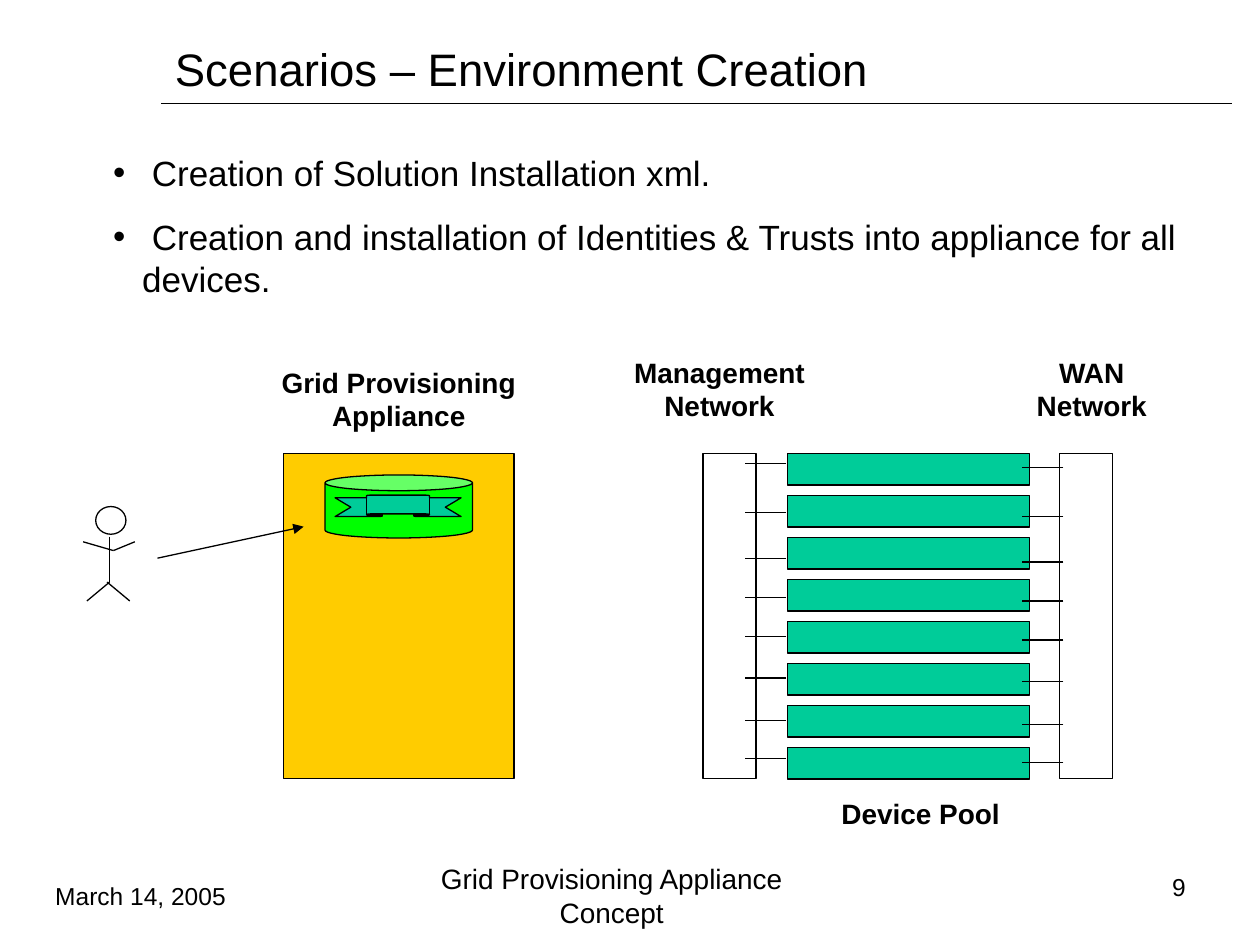
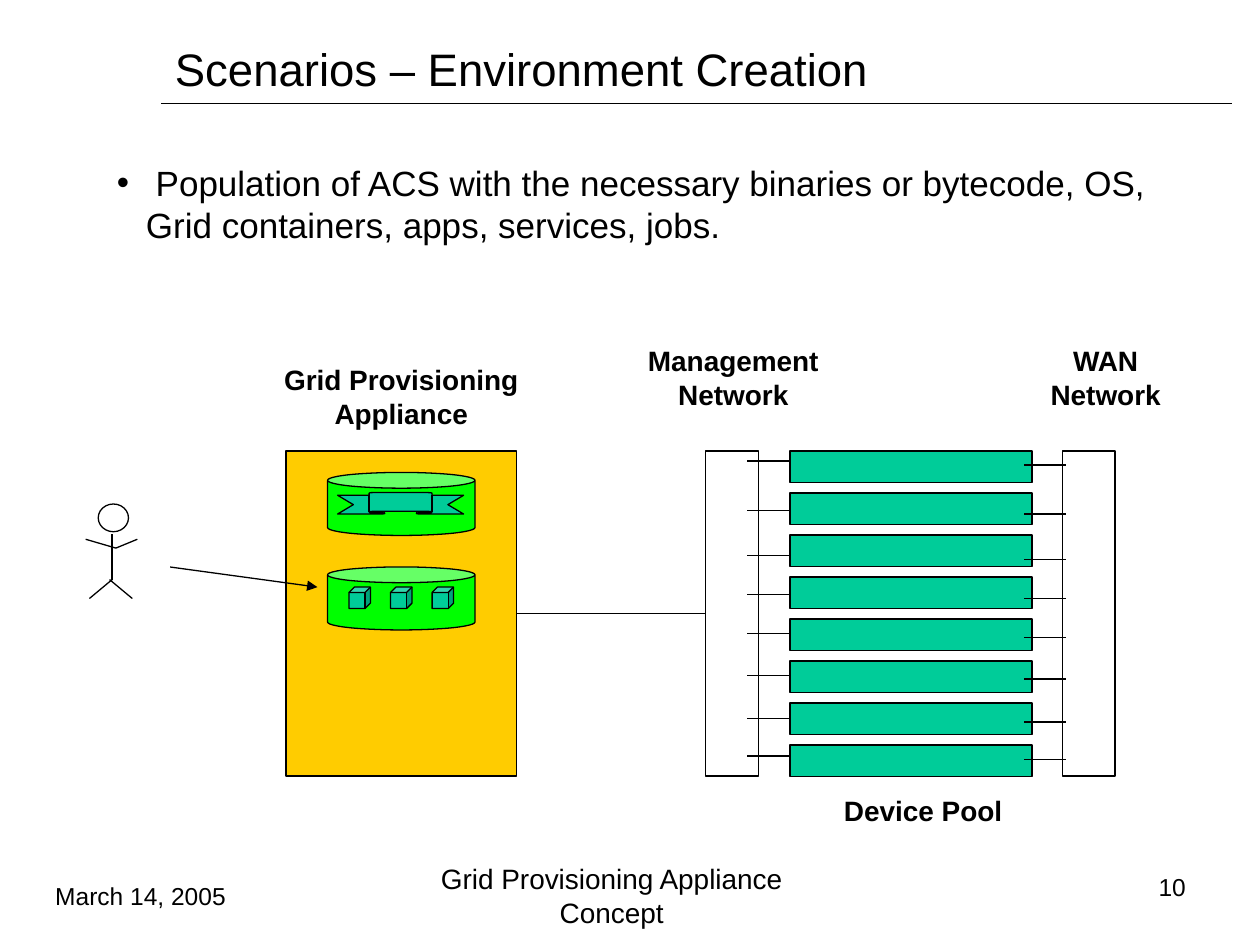
import pptx
import pptx.util
import pptx.dml.color
import pptx.enum.shapes
import pptx.enum.text
import pptx.oxml.ns
from lxml import etree

Inches = pptx.util.Inches
Pt = pptx.util.Pt
hue = pptx.dml.color.RGBColor.from_string
qn = pptx.oxml.ns.qn
Shape = pptx.enum.shapes.MSO_SHAPE
Align = pptx.enum.text.PP_ALIGN
Anchor = pptx.enum.text.MSO_ANCHOR
Straight = pptx.enum.shapes.MSO_CONNECTOR.STRAIGHT

INK = "000000"
GOLD = "FFCC00"
GREEN = "00FF00"
TEAL = "00CC99"
CLEAR = None


def write(slide, text, x, y, w, h, size=16, bold=False, align=Align.LEFT,
          anchor=Anchor.TOP, bullet=False):
    box = slide.shapes.add_textbox(Inches(x), Inches(y), Inches(w), Inches(h))
    frame = box.text_frame
    frame.word_wrap = True
    frame.vertical_anchor = anchor
    for row, line in enumerate(text.split("\n")):
        para = frame.paragraphs[0] if row == 0 else frame.add_paragraph()
        para.alignment = align
        if bullet:
            props = para._p.get_or_add_pPr()
            props.set("marL", str(Inches(0.23)))
            props.set("indent", str(-Inches(0.23)))
            etree.SubElement(props, qn("a:buFont"), typeface="Arial")
            etree.SubElement(props, qn("a:buChar"), char="•")
        if row:
            para.space_before = Pt(12.5)
        run = para.add_run()
        run.text = line
        run.font.name = "Arial"
        run.font.size = Pt(size)
        run.font.bold = bold
        run.font.color.rgb = hue(INK)


def draw(slide, kind, a, b, c, d, fill=CLEAR, adjust=(), arrow=False):
    ends = [Inches(n) for n in (a, b, c, d)]
    if kind is Straight:
        item = slide.shapes.add_connector(kind, *ends)
        etree.SubElement(item._element.spPr, qn("a:effectLst"))
    else:
        item = slide.shapes.add_shape(kind, *ends)
        item.shadow.inherit = False
        for spot, value in enumerate(adjust):
            item.adjustments[spot] = value
        if fill:
            item.fill.solid()
            item.fill.fore_color.rgb = hue(fill)
        else:
            item.fill.background()
    item.line.color.rgb = hue(INK)
    item.line.width = Pt(0.75)
    if arrow:
        etree.SubElement(item.line._get_or_add_ln(), qn("a:tailEnd"), type="triangle")
    return item


deck = pptx.Presentation()
deck.slide_width = Inches(10)
deck.slide_height = Inches(7.5)

pages = [
    dict(number="9", left=0, top=0, net=(4.75, 2.77), body=(0.8, 1.15, 8.83, 1.28),
         text=" Creation of Solution Installation xml.\n"
              " Creation and installation of Identities & Trusts into appliance for all devices.",
         arrow=(1.25, 4.43, 2.41, 4.18), store=False),
    dict(number="10", left=0.02, top=-0.02, net=(4.86, 2.68), body=(0.83, 1.23, 8.42, 0.77),
         text=" Population of ACS with the necessary binaries or bytecode, OS, "
              "Grid containers, apps, services, jobs.",
         arrow=(1.35, 4.5, 2.52, 4.66), store=True),
]
limbs = [
    (0.87, 4.26, 0.87, 4.62),
    (0.9, 4.37, 1.07, 4.3),
    (0.9, 4.37, 0.66, 4.3),
    (0.87, 4.62, 0.69, 4.77),
    (0.85, 4.62, 1.03, 4.77),
]
links = [3.68, 4.07, 4.43, 4.74, 5.05, 5.38, 5.72, 6.02]

for page in pages:
    slide = deck.slides.add_slide(deck.slide_layouts[6])
    left, top = page["left"], page["top"]

    draw(slide, Straight, 1.28, 0.82, 9.78, 0.82)
    write(slide, "Scenarios – Environment Creation", 1.29, 0.33, 8.5, 0.42,
          size=26, anchor=Anchor.MIDDLE)
    write(slide, page["text"], *page["body"], size=20, bullet=True)

    host = draw(slide, Shape.RECTANGLE, 2.25 + left, 3.6 + top, 1.83, 2.58, GOLD)
    draw(slide, Shape.CAN, 2.58 + left, 3.77 + top, 1.17, 0.5, GREEN, [0.25])
    draw(slide, Shape.UP_RIBBON, 2.66 + left, 3.93 + top, 1, 0.17, TEAL, [0.125, 0.5])

    draw(slide, Shape.OVAL, 0.76 + left, 4.02 + top, 0.24, 0.22)
    for x1, y1, x2, y2 in limbs:
        draw(slide, Straight, x1 + left, y1 + top, x2 + left, y2 + top)

    for row in range(8):
        draw(slide, Shape.RECTANGLE, 6.25 + left, 3.6 + top + row / 3, 1.92, 0.25, TEAL)
    net = draw(slide, Shape.RECTANGLE, 5.58 + left, 3.6 + top, 0.42, 2.58)
    draw(slide, Shape.RECTANGLE, 8.41 + left, 3.6 + top, 0.42, 2.58)
    for y in links:
        for x, drop in ((5.91, 0), (8.11, 0.03)):
            level = y + drop + top
            draw(slide, Straight, x + 0.33 + left, level, x + left, level)

    if page["store"]:
        draw(slide, Shape.CAN, 2.6, 4.5, 1.17, 0.5, GREEN, [0.25])
        for col in range(3):
            draw(slide, Shape.CUBE, 2.77 + col * 0.33, 4.66, 0.17, 0.17, TEAL, [0.25])
        wire = draw(slide, Straight, 4.1, 4.87, 5.6, 4.87)
        wire.begin_connect(host, 3)
        wire.end_connect(net, 1)
    draw(slide, Straight, *page["arrow"], arrow=True)

    x, y = page["net"]
    labels = [
        ("Grid Provisioning Appliance", 2.08 + left, 2.85 + top, 2.17, 0.64, Align.CENTER),
        ("Management Network", x, y, 1.92, 0.64, Align.CENTER),
        ("WAN Network", x + 3.33, y, 1.17, 0.64, Align.CENTER),
        ("Device Pool", 6.58 + left, 6.27 + top, 1.5, 0.37, Align.LEFT),
    ]
    for *place, align in labels:
        write(slide, *place, bold=True, align=align)

    feet = [
        ("March 14, 2005", 0.34, 6.92, 1.76, 0.37, 14, Align.LEFT),
        ("Grid Provisioning Appliance Concept", 3.04, 6.83, 3.63, 0.55, 16, Align.CENTER),
        (page["number"], 8.56, 6.92, 0.95, 0.24, 14, Align.RIGHT),
    ]
    for *place, size, align in feet:
        write(slide, *place, size=size, align=align, anchor=Anchor.MIDDLE)

deck.save("out.pptx")
